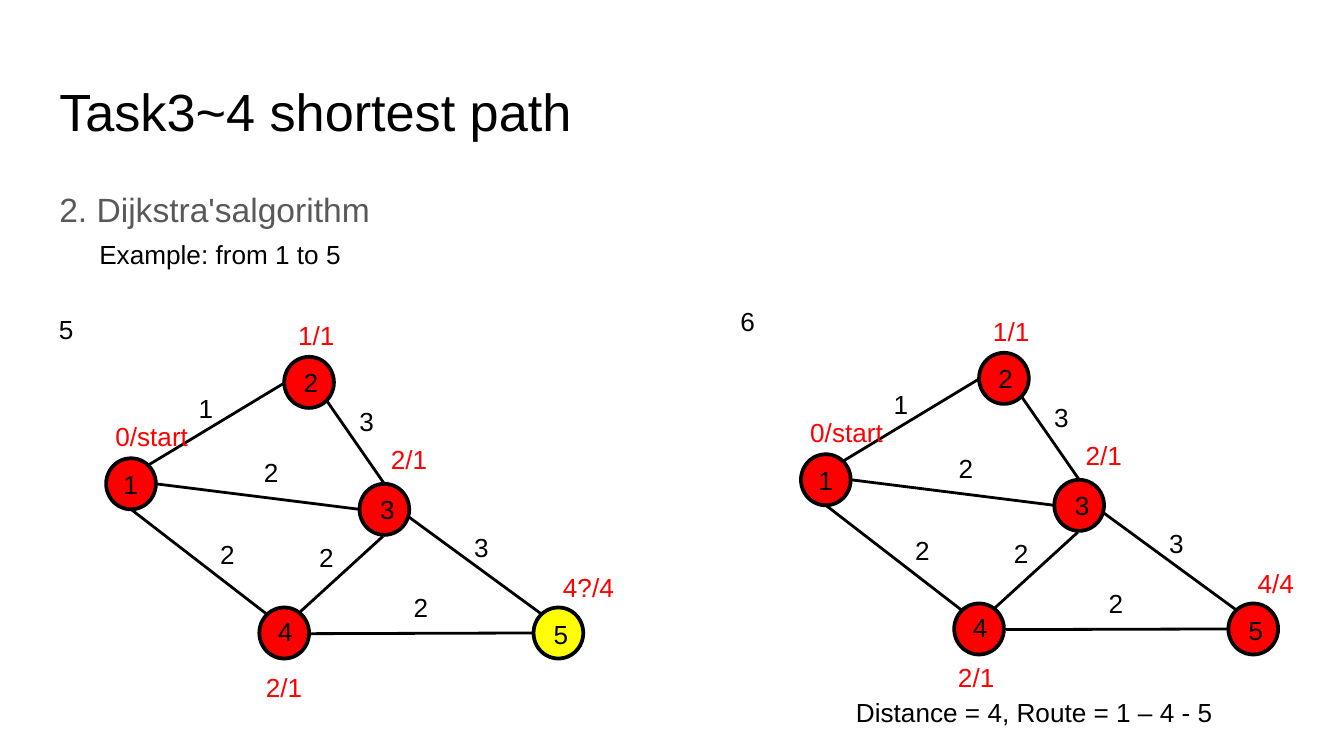
import pptx
import pptx.dml.color
import pptx.enum.shapes
import pptx.enum.text
import pptx.util
from lxml import etree

# Widescreen slide, 16:9
presentation = pptx.Presentation()
presentation.slide_width = pptx.util.Inches(10)
presentation.slide_height = presentation.slide_width * 9 // 16
slide = presentation.slides.add_slide(presentation.slide_layouts[1])

# Square grid: 100 columns across the slide, rows of the same size
CELL = presentation.slide_width / 100
BLACK, RED, YELLOW, GRAY = "000000", "FF0000", "FFFF00", "595959"
DIGIT_WIDTH, TAG_WIDTH, TEXT_HEIGHT = 3.1, 4.7, 3.4
NODE_WIDTH, NODE_HEIGHT = 3.7, 3.8


def color(hex_string):
    return pptx.dml.color.RGBColor.from_string(hex_string)


def write(shape, box, text, size=14, font_color=BLACK, inset=0.5, spacing=1.0, wrap=False):
    """Place a text shape on the grid and format its single paragraph."""
    for name, cells in zip(("left", "top", "width", "height"), box):
        setattr(shape, name, round(cells * CELL))
    frame = shape.text_frame
    frame.text = text
    frame_format = {
        "word_wrap": wrap,
        "auto_size": pptx.enum.text.MSO_AUTO_SIZE.NONE,
        "vertical_anchor": pptx.enum.text.MSO_ANCHOR.TOP,
        "margin_left": round(CELL), "margin_right": round(CELL),
        "margin_top": round(inset * CELL), "margin_bottom": round(inset * CELL),
    }
    for name, value in frame_format.items():
        setattr(frame, name, value)
    paragraph = frame.paragraphs[0]
    paragraph_format = {
        "alignment": pptx.enum.text.PP_ALIGN.LEFT,
        "line_spacing": spacing,
        "space_before": pptx.util.Pt(0),
    }
    for name, value in paragraph_format.items():
        setattr(paragraph, name, value)
    font = paragraph.runs[0].font
    for name, value in {"name": "Arial", "size": pptx.util.Pt(size)}.items():
        setattr(font, name, value)
    font.color.rgb = color(font_color)
    return paragraph


# Title and subtitle placeholders
write(slide.shapes.title, (3.41, 4.87, 93.2, 6.3), "Task3~4 shortest path",
      size=28, inset=1, wrap=True)
subtitle = write(slide.placeholders[1], (3.41, 12.6, 93.2, 4), "2. Dijkstra'salgorithm",
                 size=18, font_color=GRAY, inset=1, spacing=1.15, wrap=True)
properties = subtitle._p.get_or_add_pPr()
properties.set("marL", "0")
properties.set("indent", "0")
etree.SubElement(properties, pptx.oxml.ns.qn("a:buNone"))

# The graph, in cells from the top left corner of node 1
nodes = {  # number: (node corner, digit offset)
    "1": ((0, 0), (0.3, 0.25)),
    "2": ((13.25, -7.55), (0.45, 0.25)),
    "4": ((11.4, 11.1), (0.4, 0.1)),
    "3": ((18.85, 1.9), (0.55, 0.25)),
    "5": ((31.8, 11.1), (0.5, 0.3)),
}
edges = [  # start, end, weight, weight corner
    ((3.15, 0.5), (13.25, -5.6), "1", (5.9, -5.4)),
    ((1.85, 3.8), (11.95, 11.6), "2", (7.5, 5.45)),
    ((20.7, 1.9), (16.4, -4.3), "3", (17.85, -4.4)),
    ((3.7, 1.9), (18.85, 3.8), "2", (10.75, -0.6)),
    ((15.25, 13.05), (31.8, 13), "2", (21.9, 9.4)),
    ((22.5, 4.35), (32.4, 11.6), "3", (26.4, 4.95)),
    ((14.3, 11.55), (20.6, 5.8), "2", (14.85, 5.7)),
]
tags = {"1": (-0.3, -3.3), "2": (13.3, -10.85), "3": (20.2, -1.6), "5": (33, 7.9)}

# One graph per step: origin, step corner, fill of node 5, last tags
steps = [
    ("5", (7.9, 34.1), (3.4, 22.8), YELLOW, "4?/4", (10.9, 15.4)),
    ("6", (59.6, 33.8), (54.1, 22.2), RED, "4/4", (10.7, 14.9)),
]
for step, (left, top), step_corner, goal_fill, goal_tag, tag_4_corner in steps:
    write(slide.shapes.add_textbox(0, 0, 0, 0),
          (*step_corner, DIGIT_WIDTH, TEXT_HEIGHT), step)

    # Circles
    for number, ((column, row), _) in nodes.items():
        circle = slide.shapes.add_shape(
            pptx.enum.shapes.MSO_SHAPE.OVAL,
            round((left + column) * CELL), round((top + row) * CELL),
            round(NODE_WIDTH * CELL), round(NODE_HEIGHT * CELL))
        circle.shadow.inherit = False
        circle.fill.solid()
        circle.fill.fore_color.rgb = color(goal_fill if number == "5" else RED)
        circle.line.color.rgb = color(BLACK)
        circle.line.width = pptx.util.Pt(2)

    # Edges
    for start, end, _, _ in edges:
        ends = [round((origin + cells) * CELL)
                for point in (start, end) for origin, cells in zip((left, top), point)]
        edge = slide.shapes.add_connector(pptx.enum.shapes.MSO_CONNECTOR.STRAIGHT, *ends)
        edge.line.color.rgb = color(BLACK)
        edge.line.width = pptx.util.Pt(1.5)
        etree.SubElement(edge._element.spPr, pptx.oxml.ns.qn("a:effectLst"))

    # Node numbers, edge weights and distance/previous tags
    labels = [(number, (column + dx, row + dy), DIGIT_WIDTH, BLACK)
              for number, ((column, row), (dx, dy)) in nodes.items()]
    labels += [(weight, corner, DIGIT_WIDTH, BLACK) for _, _, weight, corner in edges]
    labels += [
        ("0/start", tags["1"], 7.5, RED),
        ("1/1", tags["2"], TAG_WIDTH, RED),
        ("2/1", tags["3"], TAG_WIDTH, RED),
        (goal_tag, tags["5"], 5.8 if "?" in goal_tag else TAG_WIDTH, RED),
        ("2/1", tag_4_corner, TAG_WIDTH, RED),
    ]
    for text, (column, row), width, font_color in labels:
        write(slide.shapes.add_textbox(0, 0, 0, 0),
              (left + column, top + row, width, TEXT_HEIGHT), text, font_color=font_color)

# Captions
captions = {
    "Example: from 1 to 5": (6.4, 17.25, 20.1),
    "Distance = 4, Route = 1 – 4 - 5": (62.7, 51.35, 29.9),
}
for text, box in captions.items():
    write(slide.shapes.add_textbox(0, 0, 0, 0), (*box, TEXT_HEIGHT), text)

presentation.save("out.pptx")
